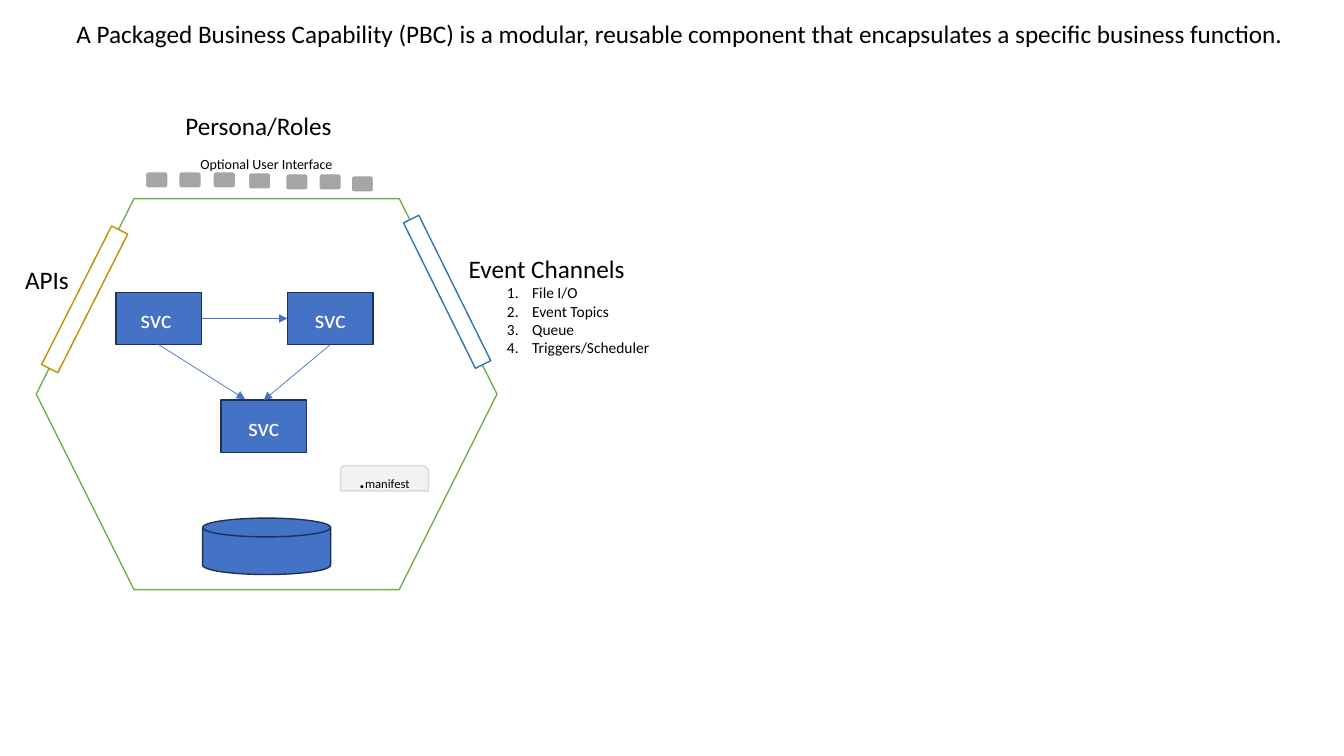
from dataclasses import dataclass

from lxml import etree
from pptx import Presentation
from pptx.dml.color import RGBColor
from pptx.enum.shapes import MSO_CONNECTOR, MSO_SHAPE
from pptx.enum.text import MSO_ANCHOR, MSO_AUTO_SIZE, PP_ALIGN
from pptx.oxml.ns import qn
from pptx.shapes.autoshape import Shape
from pptx.shapes.connector import Connector
from pptx.slide import Slide
from pptx.util import Inches, Pt

RECTANGLE = MSO_SHAPE.RECTANGLE
ROUNDED = MSO_SHAPE.ROUNDED_RECTANGLE
STRAIGHT = MSO_CONNECTOR.STRAIGHT
TOP, LEFT, BOTTOM, RIGHT = range(4)

FONT = "Calibri"
BLACK = RGBColor(0x00, 0x00, 0x00)
WHITE = RGBColor(0xFF, 0xFF, 0xFF)
GREEN = RGBColor(0x70, 0xAD, 0x47)
GOLD = RGBColor(0xBF, 0x90, 0x00)
STEEL = RGBColor(0x2E, 0x75, 0xB6)
BLUE = RGBColor(0x44, 0x72, 0xC4)
NAVY = RGBColor(0x1E, 0x32, 0x56)
GRAY = RGBColor(0xA5, 0xA5, 0xA5)
PALE = RGBColor(0xF2, 0xF2, 0xF2)
SILVER = RGBColor(0xD9, 0xD9, 0xD9)


@dataclass
class Block:
    kind: MSO_SHAPE
    left: float
    top: float
    width: float
    height: float
    fill: RGBColor
    line: RGBColor
    line_width: float = 1
    rotation: float = 0


@dataclass
class Label:
    left: float
    top: float
    width: float
    height: float
    lines: list[str]
    size: float = 18
    numbered: bool = False


FRAME = [
    Block(MSO_SHAPE.HEXAGON, 0.36, 1.97, 4.57, 3.88, WHITE, GREEN),
    Block(RECTANGLE, 0.75, 2.2, 0.18, 1.54, WHITE, GOLD, rotation=26.8),
    Block(RECTANGLE, 4.35, 2.09, 0.17, 1.61, WHITE, STEEL, rotation=333.7),
    Block(MSO_SHAPE.FLOWCHART_MAGNETIC_DISK, 2.01, 5.14, 1.27, 0.56, BLUE, NAVY),
]
SERVICES = [("svc ", 1.15, 2.9), ("svc", 2.85, 2.9), ("svc", 2.19, 3.97)]
INTERFACE_TILES = [(1.44, 1.7), (1.77, 1.7), (2.11, 1.7), (2.46, 1.71),
                   (2.83, 1.72), (3.16, 1.72), (3.48, 1.74)]
MANIFEST = Block(MSO_SHAPE.SNIP_ROUND_RECTANGLE, 3.38, 4.62, 0.87, 0.25, PALE, SILVER)
LABELS = [
    Label(0.15, 2.57, 1.18, 0.4, ["APIs"]),
    Label(4.55, 2.46, 1.85, 0.4, ["Event Channels"]),
    Label(1.74, 1.05, 1.85, 0.4, ["Persona/Roles"]),
    Label(1.89, 1.49, 2.67, 0.27, ["Optional User Interface"], 10),
    Label(4.93, 2.76, 2.53, 0.84,
          ["File I/O", "Event Topics", "Queue", "Triggers/Scheduler"], 11, True),
    Label(0.66, 0.13, 12.24, 0.4,
          ["A Packaged Business Capability (PBC) is a modular, reusable component "
           "that encapsulates a specific business function."]),
]


def format_text(shape: Shape, size: float, color: RGBColor) -> None:
    for paragraph in shape.text_frame.paragraphs:
        for run in paragraph.runs:
            run.font.name = FONT
            run.font.size = Pt(size)
            run.font.color.rgb = color


def add_block(slide: Slide, block: Block) -> Shape:
    shape = slide.shapes.add_shape(block.kind, Inches(block.left), Inches(block.top),
                                   Inches(block.width), Inches(block.height))
    shape.shadow.inherit = False
    shape.rotation = block.rotation
    shape.fill.solid()
    shape.fill.fore_color.rgb = block.fill
    shape.line.color.rgb = block.line
    shape.line.width = Pt(block.line_width)
    return shape


def add_block_text(shape: Shape, text: str, color: RGBColor) -> None:
    shape.text_frame.text = text
    shape.text_frame.vertical_anchor = MSO_ANCHOR.MIDDLE
    shape.text_frame.paragraphs[0].alignment = PP_ALIGN.CENTER
    format_text(shape, 18, color)


def add_label(slide: Slide, label: Label) -> None:
    box = slide.shapes.add_textbox(Inches(label.left), Inches(label.top),
                                   Inches(label.width), Inches(label.height))
    box.text_frame.word_wrap = True
    box.text_frame.auto_size = MSO_AUTO_SIZE.SHAPE_TO_FIT_TEXT
    box.text_frame.text = "\n".join(label.lines)
    format_text(box, label.size, BLACK)
    if label.numbered:
        for paragraph in box.text_frame.paragraphs:
            properties = paragraph._p.get_or_add_pPr()
            properties.set("marL", str(Inches(0.25)))
            properties.set("indent", str(-Inches(0.25)))
            etree.SubElement(properties, qn("a:buAutoNum"), type="arabicPeriod")


def add_arrow(slide: Slide, start: tuple[float, float], end: tuple[float, float]) -> Connector:
    arrow = slide.shapes.add_connector(STRAIGHT, *map(Inches, start + end))
    arrow.line.color.rgb = BLUE
    arrow.line.width = Pt(0.5)
    etree.SubElement(arrow.line._get_or_add_ln(), qn("a:tailEnd"), type="triangle")
    etree.SubElement(arrow._element.spPr, qn("a:effectLst"))
    return arrow


def main() -> None:
    presentation = Presentation()
    presentation.slide_width = Inches(13.33)
    presentation.slide_height = Inches(7.5)
    slide = presentation.slides.add_slide(presentation.slide_layouts[6])

    # Capability outline, side ports and data store
    for block in FRAME:
        add_block(slide, block)

    # Services
    services = []
    for text, left, top in SERVICES:
        service = add_block(slide, Block(RECTANGLE, left, top, 0.85, 0.52, BLUE, NAVY))
        add_block_text(service, text, WHITE)
        services.append(service)
    first, second, third = services

    # Calls between services
    across = add_arrow(slide, (2, 3.16), (2.85, 3.16))
    across.begin_connect(first, RIGHT)
    across.end_connect(second, LEFT)
    add_arrow(slide, (1.57, 3.42), (2.43, 3.96)).begin_connect(first, BOTTOM)
    down = add_arrow(slide, (3.28, 3.42), (2.62, 3.97))
    down.begin_connect(second, BOTTOM)
    down.end_connect(third, TOP)

    # User interface tiles
    for left, top in INTERFACE_TILES:
        add_block(slide, Block(ROUNDED, left, top, 0.23, 0.17, GRAY, WHITE, 1.5))

    # Labels
    for label in LABELS:
        add_label(slide, label)

    # Manifest file
    manifest = add_block(slide, MANIFEST)
    add_block_text(manifest, ".", BLACK)
    name = manifest.text_frame.paragraphs[0].add_run()
    name.text = "manifest"
    name.font.name = FONT
    name.font.size = Pt(9)
    name.font.color.rgb = BLACK

    presentation.save("out.pptx")


if __name__ == "__main__":
    main()
